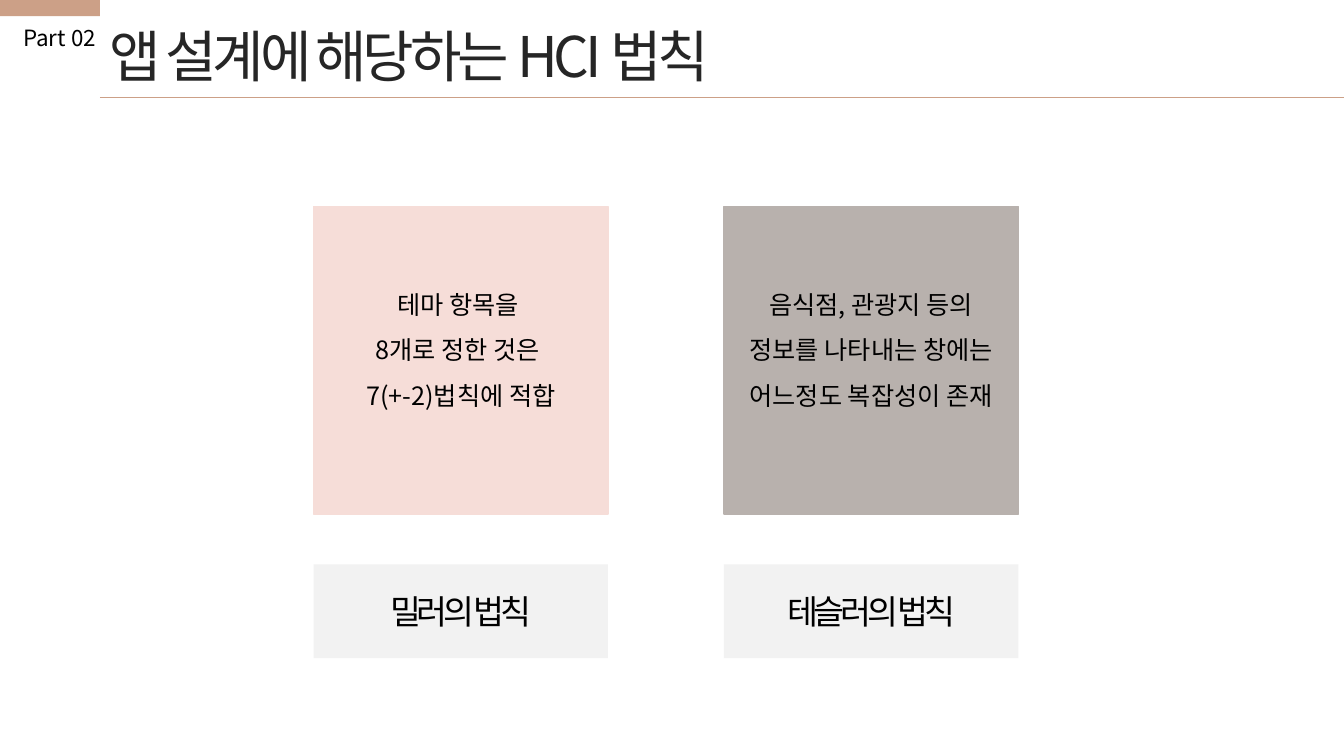
from dataclasses import dataclass

from lxml import etree
from pptx import Presentation
from pptx.dml.color import RGBColor
from pptx.enum.shapes import MSO_CONNECTOR, MSO_SHAPE
from pptx.enum.text import MSO_ANCHOR, PP_ALIGN
from pptx.oxml.ns import qn
from pptx.util import Inches, Pt

RECTANGLE = MSO_SHAPE.RECTANGLE
STRAIGHT = MSO_CONNECTOR.STRAIGHT
TOP, MIDDLE = MSO_ANCHOR.TOP, MSO_ANCHOR.MIDDLE
LEFT, CENTER, RIGHT = PP_ALIGN.LEFT, PP_ALIGN.CENTER, PP_ALIGN.RIGHT


@dataclass(frozen=True)
class Theme:
    font: str = "Noto Sans CJK KR"
    accent: str = "CCA087"
    heading: str = "262626"
    text: str = "000000"
    label: str = "F2F2F2"
    pink: str = "F6DDD8"
    taupe: str = "B8B1AD"
    title_size: int = 40
    label_size: int = 24
    body_size: int = 18
    part_size: int = 16
    tracking: int = -300


theme = Theme()


def add_block(left, top, width, height, color):
    block = slide.shapes.add_shape(
        RECTANGLE, Inches(left), Inches(top), Inches(width), Inches(height))
    block.shadow.inherit = False
    block.fill.solid()
    block.fill.fore_color.rgb = RGBColor.from_string(color)
    block.line.fill.background()
    return block


def write(frame, lines, size, color, align, anchor, tracking=0, spacing=1.0):
    frame.text = "\n".join(lines)
    frame.vertical_anchor = anchor
    for paragraph in frame.paragraphs:
        paragraph.alignment = align
        paragraph.line_spacing = spacing
        paragraph.font.name = theme.font
        paragraph.font.size = Pt(size)
        paragraph.font.color.rgb = RGBColor.from_string(color)
        for run in paragraph.runs:
            properties = run.font._element
            properties.set("spc", str(tracking))
            etree.SubElement(properties, qn("a:ea"), typeface=theme.font)


deck = Presentation()
deck.slide_width, deck.slide_height = Inches(13.33), Inches(7.5)
slide = deck.slides.add_slide(deck.slide_layouts[5])

margin, rule_top = 0.99, 0.97
title = slide.shapes.title
title.left, title.top = Inches(margin), Inches(0.16)
title.width, title.height = Inches(6.8), Inches(0.77)
write(title.text_frame, ["앱 설계에 해당하는 HCI 법칙"], theme.title_size,
      theme.heading, LEFT, TOP, theme.tracking)
title.text_frame.word_wrap = False

part = slide.shapes.add_textbox(Inches(0.12), Inches(0.19), Inches(0.93), Inches(0.37))
write(part.text_frame, ["Part 02"], theme.part_size, theme.text, RIGHT, TOP)
part.text_frame.word_wrap = False

add_block(0, 0, margin, 0.16, theme.accent)
rule = slide.shapes.add_connector(
    STRAIGHT, Inches(margin), Inches(rule_top), deck.slide_width, Inches(rule_top))
rule.line.color.rgb = RGBColor.from_string(theme.accent)
rule.line.width = Pt(0.5)
etree.SubElement(rule._element.spPr, qn("a:effectLst"))

laws = [
    ("밀러의 법칙", theme.pink,
     ["테마 항목을 ", "8개로 정한 것은 ", "7(+-2)법칙에 적합"]),
    ("테슬러의 법칙", theme.taupe,
     ["음식점, 관광지 등의", "정보를 나타내는 창에는", "어느정도 복잡성이 존재"]),
]
first_left, pitch, card_width = 3.11, 4.07, 2.92

for column, (name, color, reasons) in enumerate(laws):
    left = first_left + column * pitch
    label = add_block(left, 5.6, card_width, 0.93, theme.label)
    write(label.text_frame, [name], theme.label_size, theme.text, CENTER, MIDDLE,
          theme.tracking)
    card = add_block(left, 2.05, card_width, 3.05, color)
    card.line.color.rgb = RGBColor.from_string(color)
    card.line.width = Pt(1)
    write(card.text_frame, reasons, theme.body_size, theme.text, CENTER, MIDDLE,
          spacing=1.5)
    card.text_frame.margin_bottom = Inches(0.41)

deck.save("out.pptx")
